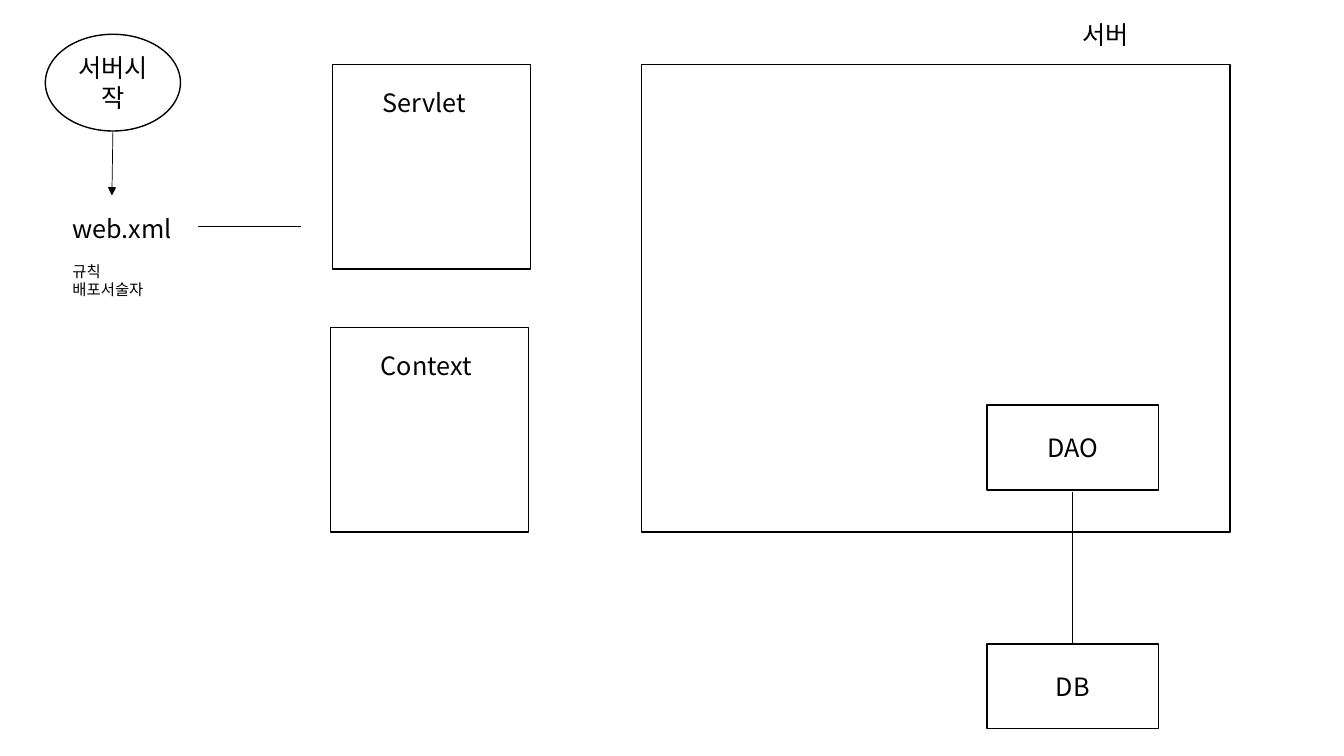
from dataclasses import dataclass

from lxml import etree
from pptx import Presentation
from pptx.dml.color import RGBColor
from pptx.enum import shapes, text
from pptx.oxml.ns import qn
from pptx.util import Inches, Pt


@dataclass(frozen=True)
class Theme:
    font: str = "Noto Sans CJK KR"
    ink: RGBColor = RGBColor(0, 0, 0)
    paper: RGBColor = RGBColor(255, 255, 255)
    label_size: float = 18
    note_size: float = 11
    note_gap: float = 13
    outline: float = 1
    connector: float = 0.5


class Diagram:
    def __init__(self, slide, theme):
        self.slide = slide
        self.theme = theme

    def style(self, p, size):
        font = p.font
        font.size = Pt(size)
        font.color.rgb = self.theme.ink
        font.name = self.theme.font
        # Hangul takes the East Asian typeface
        props = p._p.pPr.find(qn("a:defRPr"))
        etree.SubElement(props, qn("a:ea"), typeface=self.theme.font)

    def box(self, x, y, w, h, label="", kind=shapes.MSO_SHAPE.RECTANGLE, filled=True):
        sp = self.slide.shapes.add_shape(kind, Inches(x), Inches(y), Inches(w), Inches(h))
        sp.shadow.inherit = False
        if filled:
            sp.fill.solid()
            sp.fill.fore_color.rgb = self.theme.paper
        else:
            sp.fill.background()
        sp.line.color.rgb = self.theme.ink
        sp.line.width = Pt(self.theme.outline)
        if label:
            tf = sp.text_frame
            tf.vertical_anchor = text.MSO_ANCHOR.MIDDLE
            p = tf.paragraphs[0]
            p.text = label
            p.alignment = text.PP_ALIGN.CENTER
            self.style(p, self.theme.label_size)

    def label(self, x, y, w, h, heading, notes=()):
        """Add a heading with smaller lines set apart below it."""
        tf = self.slide.shapes.add_textbox(Inches(x), Inches(y), Inches(w), Inches(h)).text_frame
        tf.word_wrap = True
        tf.auto_size = text.MSO_AUTO_SIZE.SHAPE_TO_FIT_TEXT
        p = tf.paragraphs[0]
        p.text = heading
        self.style(p, self.theme.label_size)
        for i, note in enumerate(notes):
            p = tf.add_paragraph()
            p.text = note
            if i == 0:
                p.space_before = Pt(self.theme.note_gap)
            self.style(p, self.theme.note_size)

    def line(self, x1, y1, x2, y2, arrow=False):
        cx = self.slide.shapes.add_connector(
            shapes.MSO_CONNECTOR.STRAIGHT, Inches(x1), Inches(y1), Inches(x2), Inches(y2))
        cx.line.color.rgb = self.theme.ink
        cx.line.width = Pt(self.theme.connector)
        props = cx._element.spPr
        if arrow:
            etree.SubElement(props.find(qn("a:ln")), qn("a:tailEnd"), type="triangle")
        etree.SubElement(props, qn("a:effectLst"))


def main():
    prs = Presentation()
    prs.slide_width, prs.slide_height = Inches(13.33), Inches(7.5)
    d = Diagram(prs.slides.add_slide(prs.slide_layouts[6]), Theme())

    # Server start reads the deployment descriptor
    d.box(0.45, 0.34, 1.34, 0.96, "서버시작", shapes.MSO_SHAPE.OVAL)
    d.line(1.12, 1.3, 1.11, 1.94, arrow=True)
    d.label(0.62, 2.07, 1.34, 0.96, "web.xml", ("규칙", "배포서술자"))
    d.line(1.96, 2.25, 2.99, 2.25)

    for x, y, name in ((3.3, 0.64, "Servlet"), (3.28, 3.25, "Context")):
        d.box(x, y, 1.96, 2.03)
        d.label(x + 0.4, y + 0.18, 1.16, 0.4, name)

    # Server with its data access
    d.box(6.36, 0.64, 5.84, 4.64)
    d.label(10.64, 0.14, 1.55, 0.4, "서버")
    for y, name in ((4.02, "DAO"), (6.39, "DB")):
        d.box(9.79, y, 1.7, 0.84, name, filled=False)
    d.line(10.64, 4.88, 10.64, 6.38)

    prs.save("out.pptx")


if __name__ == "__main__":
    main()
